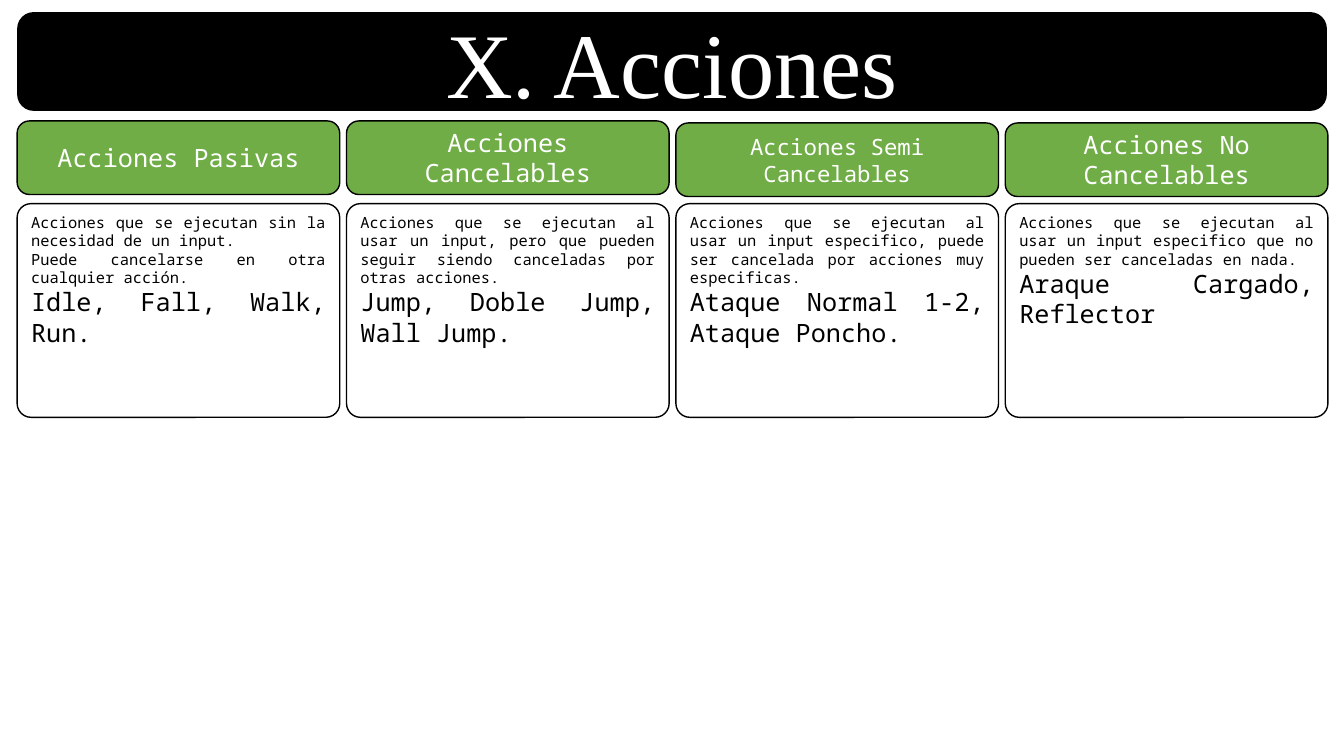
from dataclasses import dataclass

from pptx import Presentation
from pptx.dml.color import RGBColor
from pptx.enum.shapes import MSO_SHAPE
from pptx.enum.text import MSO_ANCHOR, PP_ALIGN
from pptx.util import Inches, Pt


@dataclass(frozen=True)
class Theme:
    black: RGBColor = RGBColor(0x00, 0x00, 0x00)
    white: RGBColor = RGBColor(0xFF, 0xFF, 0xFF)
    green: RGBColor = RGBColor(0x70, 0xAD, 0x47)
    title_font: str = "Times New Roman"
    body_font: str = "Noto Sans Mono"
    title_size: int = 66
    large_size: int = 18
    medium_size: int = 16
    small_size: int = 11
    line_width: int = 1


THEME = Theme()

LEFT, COLUMN_WIDTH, COLUMN_STEP = 0.17, 3.2, 3.267
HEADER_HEIGHT, CARD_TOP, CARD_HEIGHT = 0.73, 2.02, 2.12

# Heading, heading size, heading top, description paragraphs, examples
COLUMNS = [
    ("Acciones Pasivas", THEME.large_size, 1.2,
     ["Acciones que se ejecutan sin la necesidad de un input. ",
      "Puede cancelarse en otra cualquier acción."],
     "Idle, Fall, Walk, Run."),
    ("Acciones Cancelables", THEME.large_size, 1.2,
     ["Acciones que se ejecutan al usar un input, pero que pueden seguir "
      "siendo canceladas por otras acciones."],
     "Jump, Doble Jump, Wall Jump."),
    ("Acciones Semi Cancelables", THEME.medium_size, 1.22,
     ["Acciones que se ejecutan al usar un input especifico, puede ser "
      "cancelada por acciones muy especificas."],
     "Ataque Normal 1-2, Ataque Poncho."),
    ("Acciones No Cancelables", THEME.large_size, 1.22,
     ["Acciones que se ejecutan al usar un input especifico que no pueden "
      "ser canceladas en nada."],
     "Araque Cargado, Reflector"),
]


def add_panel(s, box, fill, outlined=True):
    sp = s.shapes.add_shape(MSO_SHAPE.ROUNDED_RECTANGLE,
                            *(Inches(length) for length in box))
    sp.shadow.inherit = False
    sp.fill.solid()
    sp.fill.fore_color.rgb = fill
    if outlined:
        sp.line.color.rgb = THEME.black
        sp.line.width = Pt(THEME.line_width)
    else:
        sp.line.fill.background()
    return sp


def write(sp, lines, font, color, align, anchor):
    """Fill the shape with one paragraph per (text, size) pair."""
    tf = sp.text_frame
    tf.word_wrap = True
    tf.vertical_anchor = anchor
    for i, (text, size) in enumerate(lines):
        p = tf.add_paragraph() if i else tf.paragraphs[0]
        p.text = text
        p.alignment = align
        r = p.runs[0]
        r.font.name = font
        r.font.size = Pt(size)
        r.font.color.rgb = color


def add_title(s, box, text):
    sp = add_panel(s, box, THEME.black, outlined=False)
    write(sp, [(text, THEME.title_size)], THEME.title_font, THEME.white,
          PP_ALIGN.CENTER, MSO_ANCHOR.MIDDLE)


def add_heading(s, box, text, size):
    sp = add_panel(s, box, THEME.green)
    write(sp, [(text, size)], THEME.body_font, THEME.white,
          PP_ALIGN.CENTER, MSO_ANCHOR.MIDDLE)


def add_card(s, box, description, examples):
    sp = add_panel(s, box, THEME.white)
    sp.adjustments[0] = 0.065
    lines = [(text, THEME.small_size) for text in description]
    lines.append((examples, THEME.large_size))
    write(sp, lines, THEME.body_font, THEME.black,
          PP_ALIGN.JUSTIFY, MSO_ANCHOR.TOP)


def main():
    prs = Presentation()
    prs.slide_width, prs.slide_height = Inches(13.33), Inches(7.5)
    s = prs.slides.add_slide(prs.slide_layouts[6])
    add_title(s, (LEFT, 0.12, 12.99, 0.98), "X. Acciones")
    for i, (heading, size, top, description, examples) in enumerate(COLUMNS):
        left = LEFT + i * COLUMN_STEP
        add_heading(s, (left, top, COLUMN_WIDTH, HEADER_HEIGHT), heading, size)
        add_card(s, (left, CARD_TOP, COLUMN_WIDTH, CARD_HEIGHT),
                 description, examples)
    prs.save("out.pptx")


if __name__ == "__main__":
    main()
